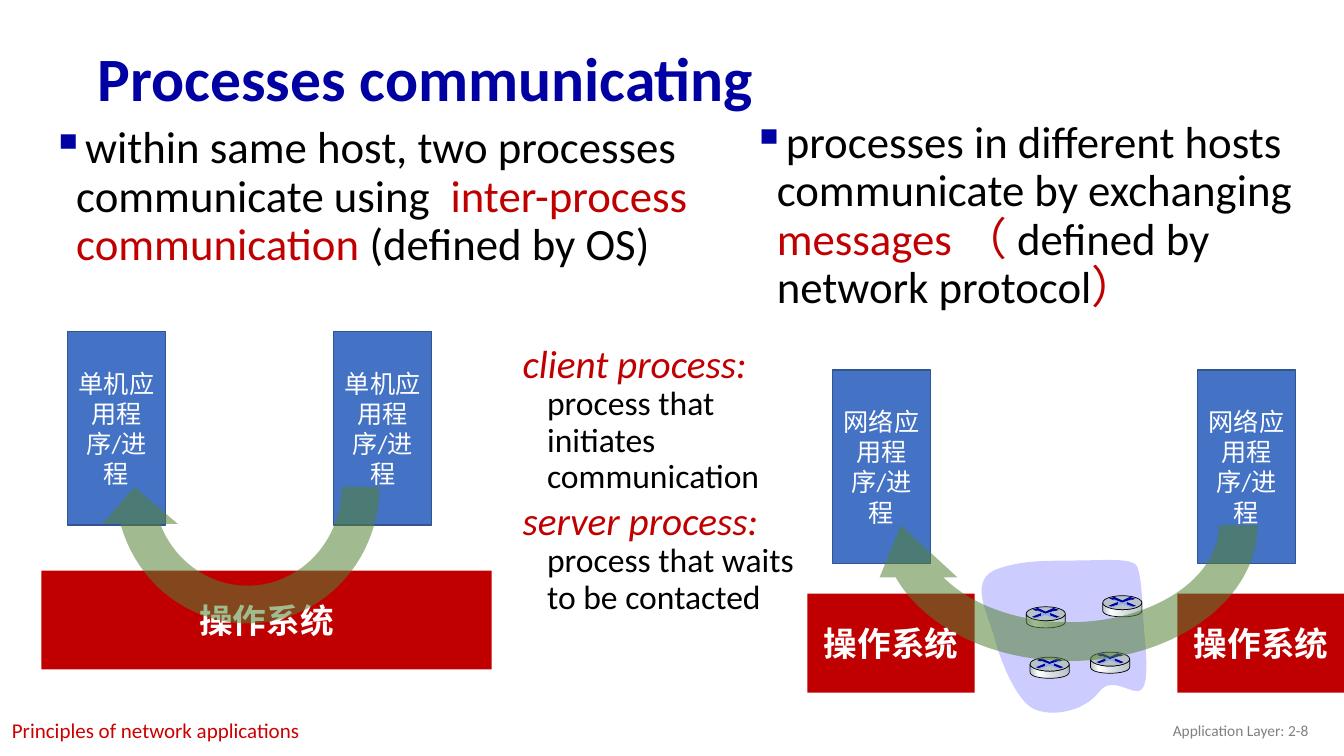
import dataclasses

import lxml.etree
import pptx
import pptx.dml.color
import pptx.enum.shapes
import pptx.enum.text
import pptx.oxml
import pptx.oxml.ns
import pptx.util

Pt = pptx.util.Pt
SHAPE = pptx.enum.shapes.MSO_SHAPE
ALIGN = pptx.enum.text.PP_ALIGN
ANCHOR = pptx.enum.text.MSO_ANCHOR


@dataclasses.dataclass(frozen=True)
class Theme:
    font: str = "Calibri"
    navy: str = "0000A3"
    red: str = "C00000"
    footer_red: str = "CC0000"
    black: str = "000000"
    white: str = "FFFFFF"
    grey: str = "808080"
    app_fill: str = "4472C4"
    app_line: str = "325491"
    flow: str = "548235"
    cloud: str = "CCCCFF"
    steel: str = "B8C2C9"
    pale_steel: str = "D6DCE0"
    arrow_blue: str = "8FAADC"
    title: int = 44
    body: int = 32
    term: int = 28
    detail: int = 24
    app: int = 18
    section: int = 15
    page: int = 11


def rgb(color):
    return pptx.dml.color.RGBColor.from_string(color)


def sub(parent, tag, **attributes):
    return lxml.etree.SubElement(parent, pptx.oxml.ns.qn(tag), **attributes)


def flatten(outline, steps=12):
    """Turn points and cubic curves (6 numbers) into plain points."""
    points = [outline[0]]
    for piece in outline[1:]:
        if len(piece) == 2:
            points.append(piece)
            continue
        ends = [points[-1], piece[:2], piece[2:4], piece[4:]]
        for step in range(1, steps + 1):
            t = step / steps
            weights = ((1 - t) ** 3, 3 * t * (1 - t) ** 2, 3 * t * t * (1 - t), t ** 3)
            points.append(tuple(sum(w * end[axis] for w, end in zip(weights, ends))
                                for axis in (0, 1)))
    return points


class Painter:
    def __init__(self, slide, theme):
        self.slide, self.theme = slide, theme

    def fill_text(self, frame, paragraphs, anchor=ANCHOR.TOP, bullet=None, indent=None, **layout):
        """Each paragraph is a list of (text, font values) runs."""
        frame.word_wrap = True
        frame.vertical_anchor = anchor
        for number, runs in enumerate(paragraphs):
            paragraph = frame.paragraphs[0] if number == 0 else frame.add_paragraph()
            for name, value in layout.items():
                if number or name != "space_before":
                    setattr(paragraph, name, value)
            properties = paragraph._p.get_or_add_pPr()
            if indent:
                left, first = indent
                properties.set("marL", str(Pt(left)))
                properties.set("indent", str(Pt(first)))
            if bullet:
                color = sub(properties, "a:buClr")
                sub(color, "a:srgbClr", val=self.theme.navy)
                sub(properties, "a:buChar", char=bullet)
            for text, values in runs:
                run = paragraph.add_run()
                run.text = text
                for name, value in {"name": self.theme.font, **values}.items():
                    if name == "color":
                        run.font.color.rgb = rgb(value)
                    else:
                        setattr(run.font, name, Pt(value) if name == "size" else value)

    def text(self, box, paragraphs, **layout):
        frame = self.slide.shapes.add_textbox(*map(Pt, box)).text_frame
        self.fill_text(frame, paragraphs, **layout)

    def paint(self, shape, fill, line=None, width=1):
        shape.shadow.inherit = False
        shape.fill.solid()
        shape.fill.fore_color.rgb = rgb(fill)
        if line:
            shape.line.color.rgb = rgb(line)
            shape.line.width = Pt(width)
        else:
            shape.line.fill.background()
        return shape

    def shape(self, kind, box, fill, line=None, width=1):
        return self.paint(self.slide.shapes.add_shape(kind, *map(Pt, box)), fill, line, width)

    def block(self, box, label, font, fill, line=None):
        frame = self.shape(SHAPE.RECTANGLE, box, fill, line).text_frame
        self.fill_text(frame, [[(label, {"color": self.theme.white, **font})]],
                       anchor=ANCHOR.MIDDLE, alignment=ALIGN.CENTER)

    def system(self, left, top, width):
        self.block((left, top, width, 70.6), "操作系统",
                   {"size": self.theme.detail, "bold": True}, self.theme.red)

    def application(self, left, top, label):
        self.block((left, top, 70, 138.2), label, {"size": self.theme.app},
                   self.theme.app_fill, self.theme.app_line)

    def flow(self, box):
        arrow = self.shape(SHAPE.CIRCULAR_ARROW, box, self.theme.flow)
        arrow.rotation = 180
        color = arrow.fill._xPr.find(".//" + pptx.oxml.ns.qn("a:srgbClr"))
        sub(color, "a:alpha", val="55000")

    def outline(self, pieces, fill, origin=(0, 0), line=None, width=1):
        points = [(Pt(origin[0] + x), Pt(origin[1] + y)) for x, y in flatten(pieces)]
        builder = self.slide.shapes.build_freeform(*points[0], scale=1.0)
        builder.add_line_segments(points[1:], close=True)
        return self.paint(builder.convert_to_shape(), fill, line, width)

    def router(self, left, top):
        theme = self.theme
        body = self.outline(ROUTER_BODY, theme.steel, (left, top), theme.black, 0.5)
        body.fill.gradient()
        body.fill.gradient_angle = 0
        stops = body.fill._xPr.find(".//" + pptx.oxml.ns.qn("a:gsLst"))
        for stop in list(stops):
            stops.remove(stop)
        for percent, color in ((0, theme.steel), (21, theme.white),
                               (60, theme.pale_steel), (100, theme.steel)):
            sub(sub(stops, "a:gs", pos=str(percent * 1000)), "a:srgbClr", val=color)
        self.shape(SHAPE.OVAL, (left, top, 28, 10), theme.steel, theme.black, 0.5)
        for pieces in ROUTER_ARROWS:
            self.outline(pieces, theme.navy, (left, top))
        self.outline(ROUTER_CROSS, theme.arrow_blue, (left, top))


# Router parts, measured from the router's top left corner
ROUTER_BODY = [(28, 5.2), (28, 10.8), (27.4, 14.4, 18.6, 15.1, 14, 15.1),
               (9.4, 15.1, 0.6, 14.4, 0, 10.8), (0, 5.2),
               (1.2, 8.2, 9.4, 10, 13.8, 10), (18.6, 10, 26.8, 8.6, 28, 5.2)]
ROUTER_ARROWS = [
    [(19.4, 0.9), (23.2, 2.2), (21, 3), (20.2, 2.9), (13.8, 5),
     (8.4, 2.8), (7.2, 3), (4.7, 2), (8.3, 0.9), (14, 3.4)],
    [(17.1, 4.5), (23.7, 7.2), (21.5, 7.9), (17.1, 6.3)],
    [(10.8, 4.5), (10.8, 6.4), (6.3, 7.9), (4.2, 7.2)],
]
ROUTER_CROSS = [(7, 3), (8.4, 2.8), (13.8, 5), (20.2, 2.9), (21, 3), (17.1, 4.5), (17.1, 6.3),
                (21.5, 7.9), (20.4, 8.4), (14, 5.8), (7.6, 8.4), (6.3, 7.9), (10.8, 6.4),
                (10.8, 4.5)]
NETWORK_CLOUD = [(711.4, 406.8), (691.2, 414.7, 706.3, 439.9, 710.6, 456.5),
                 (715, 473, 725.8, 499.7, 738, 506.2), (751, 512.6, 774, 508.3, 784.8, 494.6),
                 (794.9, 480.2, 811.4, 500.4, 816.5, 491),
                 (821.5, 483.1, 817.2, 454.3, 816.5, 439.9),
                 (815.8, 425.5, 815, 411.1, 812.2, 404.6),
                 (809.3, 398.2, 787.7, 400.3, 771.1, 400.3),
                 (754.6, 401, 732.2, 398.9, 711.4, 406.8)]


def main():
    deck = pptx.Presentation()
    deck.slide_width, deck.slide_height = Pt(960), Pt(540)
    theme = Theme()
    painter = Painter(deck.slides.add_slide(deck.slide_layouts[6]), theme)
    plain = {"size": theme.body, "color": theme.black}
    accent = {"size": theme.body, "color": theme.red}
    term = {"size": theme.term, "color": theme.red, "italic": True}
    detail = {"size": theme.detail, "color": theme.black}
    hanging = {"indent": (28, -17.5), "line_spacing": 0.9}

    # Title, left statement and footers
    painter.text((62.6, 23, 828, 70.6), [[("Processes communicating", {
        "size": theme.title, "color": theme.navy, "bold": True})]],
        anchor=ANCHOR.MIDDLE, line_spacing=0.9)
    painter.text((19.4, 85.7, 492.5, 137.5), [[
        ("within same host, two processes communicate using  ", plain),
        ("inter-process communication ", accent), ("(defined by OS)", plain)]],
        bullet="▪", **hanging)
    painter.text((725.8, 507.6, 216, 28.8), [[("Application Layer: 2-8", {
        "size": theme.page, "color": theme.grey})]],
        anchor=ANCHOR.MIDDLE, alignment=ALIGN.RIGHT)
    painter.text((1.4, 509, 267.8, 25.2), [[("Principles of network applications", {
        "size": theme.section, "color": theme.footer_red})]], indent=(31.5, -31.5))

    # Same host: two processes over one operating system
    painter.system(29.5, 407.5, 321.8)
    for left in (48.2, 238.3):
        painter.application(left, 236.9, "单机应用程序/进程")
    painter.flow((69.1, 236.9, 215.3, 221.8))

    # Different hosts: two processes across the network
    painter.outline(NETWORK_CLOUD, theme.cloud)
    for system_left, application_left in ((576.7, 594.7), (841, 855.4)):
        painter.system(system_left, 424.1, 119.5)
        painter.application(application_left, 264.2, "网络应用程序/进程")
    for left, top in ((733, 433.4), (779, 465.8), (787.7, 425.5), (735.8, 469.4)):
        painter.router(left, top)
    painter.flow((615.6, 264.2, 296.6, 221.8))

    # Right statement and process definitions
    painter.text((519.8, 82.1, 440, 167.8), [[
        ("processes in different hosts communicate by exchanging ", plain),
        ("messages （ ", accent), ("defined by network protocol", plain), ("）", accent)]],
        bullet="▪", **hanging)
    painter.text((355.7, 242.6, 236.2, 202.3), [
        [("client process: ", term), ("process that initiates communication", detail)],
        [("server process: ", term), ("process that waits to be contacted", detail)]],
        space_before=Pt(4), **hanging)
    deck.save("out.pptx")


if __name__ == "__main__":
    main()
